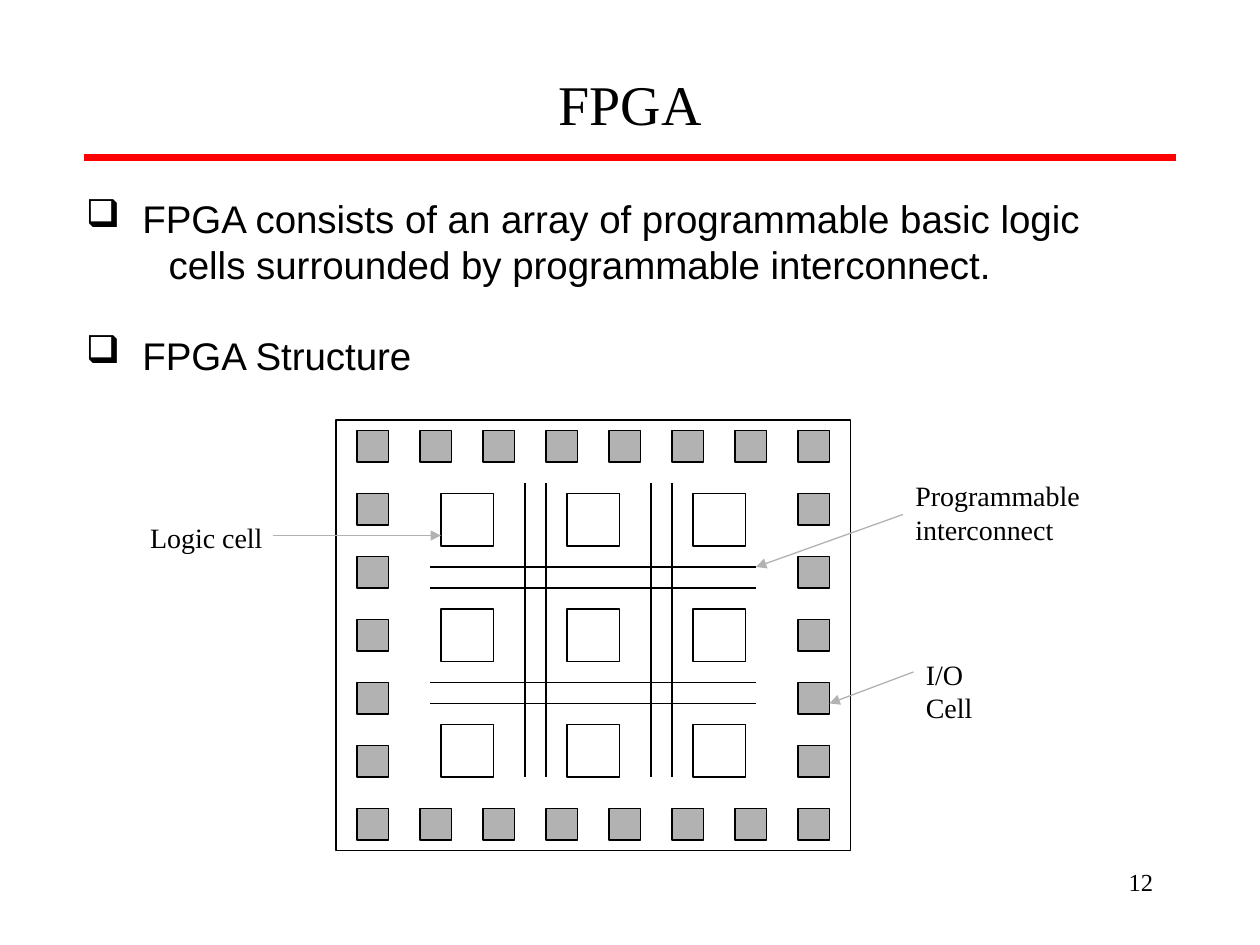
from itertools import product

from lxml import etree
from pptx import Presentation
from pptx import util as u
from pptx.dml.color import RGBColor
from pptx.enum import shapes, text
from pptx.oxml.ns import qn

PX = 9525  # EMU per px, 96 px to the inch
COLORS = {"ink": "000000", "paper": "FFFFFF", "rule": "FF0000", "gray": "B2B2B2"}
SERIF, SANS = "Times New Roman", "Arial"

TITLE = ("FPGA", (56, 48, 848, 61))
# box, lines; the first line carries the bullet
POINTS = [
    ((56, 144, 840, 81), ["FPGA consists of an array of programmable basic logic",
                          "cells surrounded by programmable interconnect."]),
    ((56, 248, 840, 45), ["FPGA Structure"]),
]
BULLET_INDENT, CONTINUATION_INDENT = 43, 63
# lines, box, arrow start, arrow tip
LABELS = [
    (["Logic cell"], (105, 392, 105, 36), (208, 408), (336, 408)),
    (["Programmable", "interconnect"], (688, 360, 150, 61), (688, 392), (576, 432)),
    (["I/O Cell"], (696, 496, 88, 36), (696, 512), (632, 536)),
]
PAGE_NUMBER = ("12", (688, 656, 200, 48))

CHIP = (256, 320, 392, 328)
LOGIC_SIZE = 40
LOGIC_XS, LOGIC_YS = (336, 432, 528), (376, 464, 552)
WIRE_XS, WIRE_YS = (400, 416, 496, 512), (432, 448, 520, 536)
WIRE_LEFT, WIRE_RIGHT, WIRE_TOP, WIRE_BOTTOM = 328, 576, 368, 592
IO_SIZE, IO_STEP, IO_LEFT, IO_TOP = 24, 48, 272, 328
IO_COLUMNS, IO_ROWS = 8, 7


def color(name):
    return RGBColor.from_string(COLORS[name])


def emu(lengths):
    return [length * PX for length in lengths]


def add_text(page, lines, at, size, font=SERIF, align=text.PP_ALIGN.LEFT, wrap=True):
    frame = page.shapes.add_textbox(*emu(at)).text_frame
    frame.word_wrap = wrap
    frame.text = "\n".join(lines)
    for para in frame.paragraphs:
        para.alignment = align
        para.font.name = font
        para.font.size = u.Pt(size)
        para.font.color.rgb = color("ink")
    return frame


def add_bullet(para):
    properties = para._p.get_or_add_pPr()
    properties.set("marL", str(BULLET_INDENT * PX))
    properties.set("indent", str(-BULLET_INDENT * PX))
    bullet = etree.Element(qn("a:buChar"), char="❑")
    properties.insert_element_before(bullet, "a:tabLst", "a:defRPr", "a:extLst")


def add_box(parent, at, fill):
    box = parent.shapes.add_shape(shapes.MSO_SHAPE.RECTANGLE, *emu(at))
    box.shadow.inherit = False
    box.fill.solid()
    box.fill.fore_color.rgb = color(fill)
    box.line.color.rgb = color("ink")
    box.line.width = u.Pt(0.75)


def add_line(parent, start, end, ink="ink", width=0.75, arrow=False):
    line = parent.shapes.add_connector(
        shapes.MSO_CONNECTOR.STRAIGHT, *emu(start), *emu(end))
    line.line.color.rgb = color(ink)
    line.line.width = u.Pt(width)
    if arrow:
        etree.SubElement(line.line._get_or_add_ln(), qn("a:tailEnd"), type="triangle")
    etree.SubElement(line._element.spPr, qn("a:effectLst"))


def add_chip(page):
    chip = page.shapes.add_group_shape()
    add_box(chip, CHIP, "paper")
    for y, x in product(LOGIC_YS, LOGIC_XS):
        add_box(chip, (x, y, LOGIC_SIZE, LOGIC_SIZE), "paper")
    for y in WIRE_YS:
        add_line(chip, (WIRE_LEFT, y), (WIRE_RIGHT, y))
    for x in WIRE_XS:
        add_line(chip, (x, WIRE_TOP), (x, WIRE_BOTTOM))
    for row, column in product(range(IO_ROWS), range(IO_COLUMNS)):
        if row in (0, IO_ROWS - 1) or column in (0, IO_COLUMNS - 1):
            add_box(chip, (IO_LEFT + column * IO_STEP, IO_TOP + row * IO_STEP,
                           IO_SIZE, IO_SIZE), "gray")


def main():
    deck = Presentation()
    deck.slide_width, deck.slide_height = emu((960, 720))
    page = deck.slides.add_slide(deck.slide_layouts[6])

    add_line(page, (64, 120), (896, 120), "rule", 4.5)
    title, at = TITLE
    add_text(page, [title], at, 32, align=text.PP_ALIGN.CENTER)
    for at, lines in POINTS:
        first, *others = add_text(page, lines, at, 22, SANS).paragraphs
        add_bullet(first)
        for para in others:
            para._p.get_or_add_pPr().set("marL", str(CONTINUATION_INDENT * PX))

    add_chip(page)
    for lines, at, start, tip in LABELS:
        add_text(page, lines, at, 16, wrap=False)
        add_line(page, start, tip, "gray", arrow=True)

    number, at = PAGE_NUMBER
    add_text(page, [number], at, 14, align=text.PP_ALIGN.RIGHT)
    deck.save("out.pptx")


if __name__ == "__main__":
    main()
